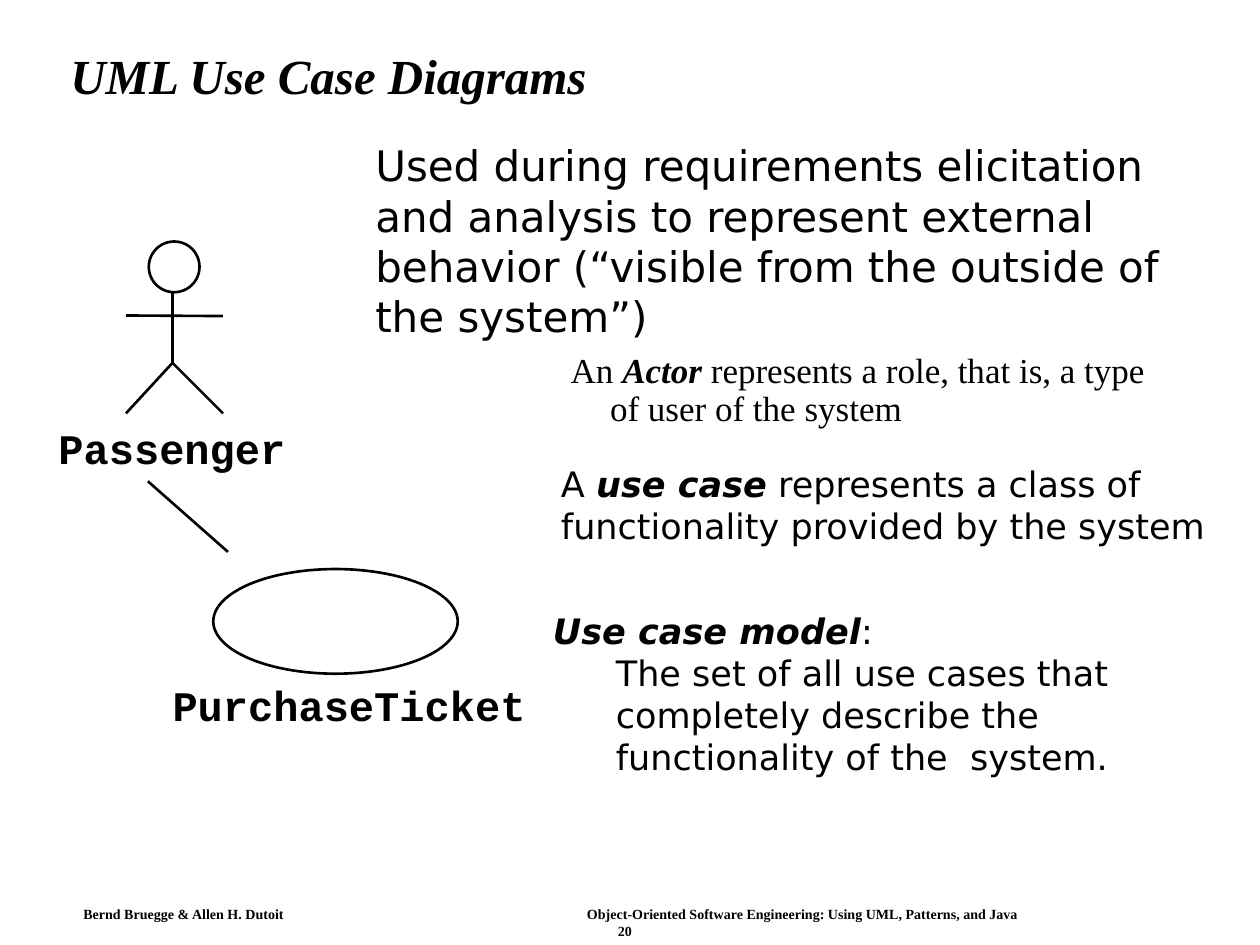
"""Build the UML use case diagram slide with its actor, use case and definitions."""
from dataclasses import dataclass

from lxml import etree
from pptx import Presentation
from pptx.dml.color import RGBColor
from pptx.enum.shapes import MSO_CONNECTOR, MSO_SHAPE
from pptx.enum.text import MSO_ANCHOR
from pptx.oxml.ns import qn
from pptx.util import Pt

STRAIGHT = MSO_CONNECTOR.STRAIGHT
OVAL = MSO_SHAPE.OVAL
TOP = MSO_ANCHOR.TOP
MIDDLE = MSO_ANCHOR.MIDDLE


@dataclass(frozen=True)
class Theme:
    ink: RGBColor = RGBColor(0, 0, 0)
    paper: RGBColor = RGBColor(255, 255, 255)
    serif: str = "Times New Roman"
    sans: str = "DejaVu Sans"
    mono: str = "Courier New"
    title: float = 28
    lead: float = 24
    body: float = 20
    footer: float = 8
    line: float = 1.5


@dataclass(frozen=True)
class Span:
    text: str
    bold: bool = False
    italic: bool = False


@dataclass(frozen=True)
class Para:
    spans: tuple[Span, ...]
    left: float = 0
    hanging: float = 0
    line_spacing: float | None = None


@dataclass(frozen=True)
class Area:
    left: float
    top: float
    width: float
    height: float

    def lengths(self) -> tuple[Pt, Pt, Pt, Pt]:
        return Pt(self.left), Pt(self.top), Pt(self.width), Pt(self.height)


THEME = Theme()


def add_text(shapes, area: Area, paras: list[Para], *, font: str, size: float,
             inset: tuple[float, float] = (7.2, 3.6), wrap: bool = True, anchor=TOP) -> None:
    frame = shapes.add_textbox(*area.lengths()).text_frame
    frame.word_wrap = wrap
    frame.vertical_anchor = anchor
    frame.margin_left = frame.margin_right = Pt(inset[0])
    frame.margin_top = frame.margin_bottom = Pt(inset[1])
    for index, para in enumerate(paras):
        target = frame.paragraphs[0] if index == 0 else frame.add_paragraph()
        properties = target._p.get_or_add_pPr()
        properties.set("marL", str(Pt(para.left)))
        properties.set("indent", str(Pt(-para.hanging)))
        if para.line_spacing:
            target.line_spacing = para.line_spacing
        for span in para.spans:
            run = target.add_run()
            run.text = span.text
            run.font.name = font
            run.font.size = Pt(size)
            run.font.bold = span.bold
            run.font.italic = span.italic
            run.font.color.rgb = THEME.ink


def set_line(shape) -> None:
    shape.line.color.rgb = THEME.ink
    shape.line.width = Pt(THEME.line)


def add_line(shapes, start: tuple[float, float], end: tuple[float, float]) -> None:
    line = shapes.add_connector(STRAIGHT, *(Pt(value) for value in start + end))
    set_line(line)
    etree.SubElement(line._element.spPr, qn("a:effectLst"))


def add_oval(shapes, area: Area, fill: RGBColor | None = None) -> None:
    oval = shapes.add_shape(OVAL, *area.lengths())
    oval.shadow.inherit = False
    if fill is None:
        oval.fill.background()
    else:
        oval.fill.solid()
        oval.fill.fore_color.rgb = fill
    set_line(oval)


def add_path(shapes, points: list[tuple[float, float]]) -> None:
    corners = [(Pt(across), Pt(down)) for across, down in points]
    builder = shapes.build_freeform(*corners[0])
    builder.add_line_segments(corners[1:], close=False)
    path = builder.convert_to_shape()
    path.shadow.inherit = False
    path.fill.background()
    set_line(path)


def add_name(shapes, area: Area, name: str) -> None:
    add_text(shapes, area, [Para((Span(name, bold=True),))], font=THEME.mono,
             size=THEME.lead, inset=(0, 0), wrap=False)


def add_actor(shapes) -> None:
    hip = (98.6, 207.4)
    add_path(shapes, [(98.6, 158.4), hip, (72, 236.2)])
    add_line(shapes, hip, (127.4, 236.2))
    add_line(shapes, (72, 180.3), (127.4, 180.6))
    add_oval(shapes, Area(85, 138, 29, 29), THEME.paper)
    add_name(shapes, Area(33.4, 241.2, 132, 28.8), "Passenger")


def add_use_case(shapes) -> None:
    add_oval(shapes, Area(121.9, 325.2, 139.7, 59.8))
    add_name(shapes, Area(98.6, 388.1, 206, 28.8), "PurchaseTicket")
    add_line(shapes, (84.5, 275), (130.3, 315.4))


def add_footer(shapes) -> None:
    authors = [Para((Span("Bernd Bruegge & Allen H. Dutoit", bold=True),))]
    book = [
        Para((Span("Object-Oriented Software Engineering: Using UML, Patterns, and Java",
                   bold=True),)),
        Para((Span("20", bold=True),), left=17.7),
    ]
    for left, width, paras in ((41.8, 150, authors), (329.6, 300, book)):
        add_text(shapes, Area(left, 514.8, width, 15.1), paras,
                 font=THEME.serif, size=THEME.footer, inset=(5.8, 2.9))


def add_definitions(shapes) -> None:
    add_text(shapes, Area(319, 198.3, 352.8, 63.4), [
        Para((Span("An "), Span("Actor", bold=True, italic=True),
              Span(" represents a role, that is, a type of user of the system")),
             left=22.5, hanging=22.5, line_spacing=0.9),
    ], font=THEME.serif, size=THEME.body)
    add_text(shapes, Area(207.4, 76.3, 477.4, 77), [
        Para((Span("Used during requirements elicitation and analysis to represent external "
                   "behavior (“visible from the outside of the system”)"),)),
    ], font=THEME.sans, size=THEME.lead)
    add_text(shapes, Area(308.9, 344.9, 386.6, 146.9), [
        Para((Span("Use case model", bold=True, italic=True), Span(":"))),
        Para((Span("The set of all use cases that completely describe the "
                   "functionality of the  system."),), left=36),
    ], font=THEME.sans, size=THEME.body)
    add_text(shapes, Area(313.5, 261, 383.8, 72), [
        Para((Span("A "), Span("use case", bold=True, italic=True),
              Span(" represents a class of functionality provided by the system"))),
    ], font=THEME.sans, size=THEME.body)


def main() -> None:
    deck = Presentation()
    deck.slide_width, deck.slide_height = Pt(720), Pt(540)
    page = deck.slides.add_slide(deck.slide_layouts[6])
    page.background.fill.solid()
    page.background.fill.fore_color.rgb = THEME.paper
    add_footer(page.shapes)
    add_text(page.shapes, Area(33.1, 17.3, 642.2, 55.4), [
        Para((Span("UML Use Case Diagrams", bold=True, italic=True),), line_spacing=0.9),
    ], font=THEME.serif, size=THEME.title, anchor=MIDDLE)
    add_actor(page.shapes.add_group_shape().shapes)
    add_use_case(page.shapes.add_group_shape().shapes)
    add_definitions(page.shapes)
    deck.save("out.pptx")


if __name__ == "__main__":
    main()
